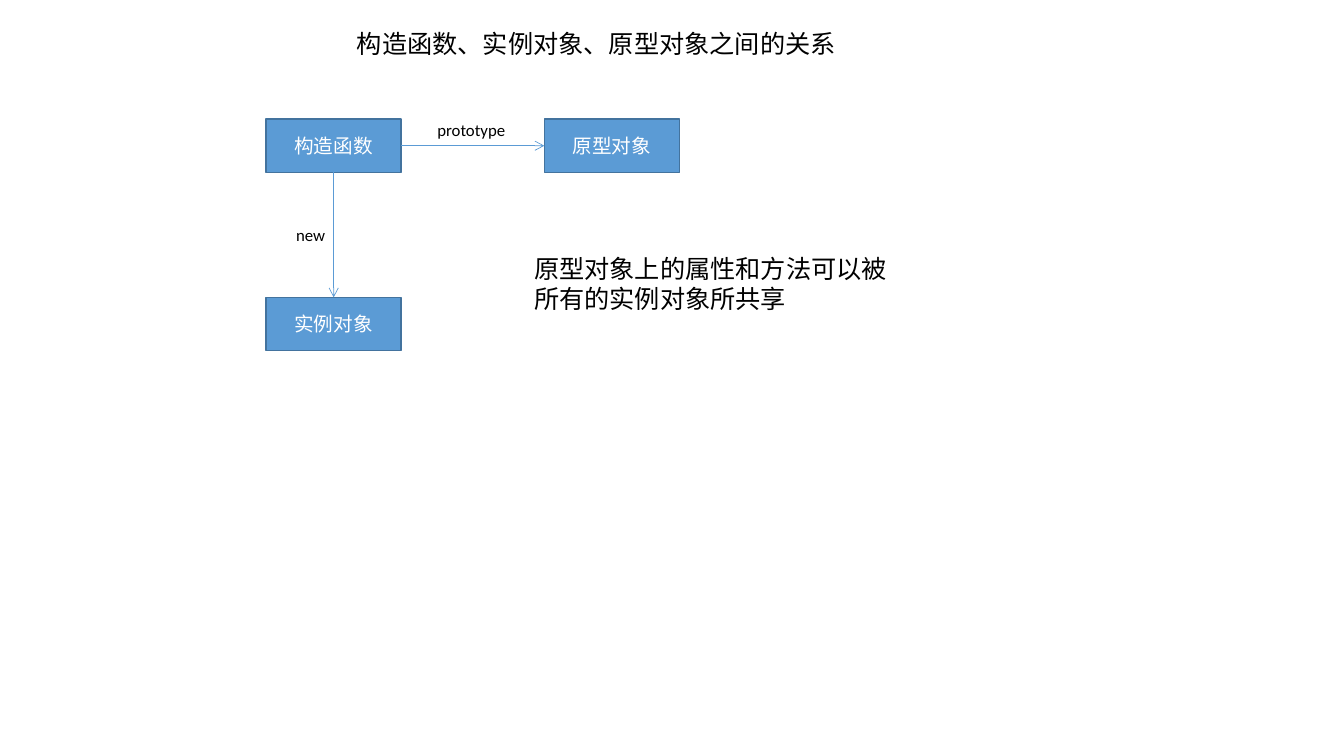
"""Build a slide on how constructors, instances and prototypes relate."""
from lxml import etree
from pptx import Presentation
from pptx import util as u
from pptx.dml.color import RGBColor
from pptx.enum import shapes, text
from pptx.oxml.ns import qn

COLORS = {"box": "5B9BD5", "border": "43739E", "text": "000000", "box_text": "FFFFFF"}
BOX_W, BOX_H = 96.5, 38.2
LEFT, RIGHT, TOP, BOTTOM = 190.1, 388.8, 85, 212.4


def write(sp, words, size, color, align, anchor):
    tf = sp.text_frame
    tf.text = words
    tf.word_wrap = True
    tf.auto_size = text.MSO_AUTO_SIZE.NONE
    tf.vertical_anchor = anchor
    p = tf.paragraphs[0]
    p.alignment = align
    font = p.runs[0].font
    font.name, font.size = "Calibri", u.Pt(size)
    font.color.rgb = RGBColor.from_string(COLORS[color])


prs = Presentation()
prs.slide_width, prs.slide_height = u.Pt(960), u.Pt(540)
s = prs.slides.add_slide(prs.slide_layouts[5])

title = s.shapes.title
title.left, title.top, title.width, title.height = map(u.Pt, (247.7, 16.6, 378.7, 29))
write(title, "构造函数、实例对象、原型对象之间的关系", 18, "text",
      text.PP_ALIGN.LEFT, text.MSO_ANCHOR.TOP)

boxes = {}
for name, x, y in [("构造函数", LEFT, TOP), ("实例对象", LEFT, BOTTOM), ("原型对象", RIGHT, TOP)]:
    sp = s.shapes.add_shape(shapes.MSO_SHAPE.RECTANGLE, *map(u.Pt, (x, y, BOX_W, BOX_H)))
    sp.shadow.inherit = False
    sp.fill.solid()
    sp.fill.fore_color.rgb = RGBColor.from_string(COLORS["box"])
    sp.line.color.rgb = RGBColor.from_string(COLORS["border"])
    sp.line.width = u.Pt(1)
    write(sp, name, 14, "box_text", text.PP_ALIGN.CENTER, text.MSO_ANCHOR.MIDDLE)
    boxes[name] = sp

for target, start_site, end_site in [("实例对象", 2, 0), ("原型对象", 3, 1)]:
    arrow = s.shapes.add_connector(shapes.MSO_CONNECTOR.STRAIGHT, 0, 0, 0, 0)
    arrow.begin_connect(boxes["构造函数"], start_site)
    arrow.end_connect(boxes[target], end_site)
    arrow.line.color.rgb = RGBColor.from_string(COLORS["box"])
    arrow.line.width = u.Pt(0.5)
    etree.SubElement(arrow.line._get_or_add_ln(), qn("a:tailEnd"), type="arrow")
    etree.SubElement(arrow._element.spPr, qn("a:effectLst"))

for words, size, *area in [
    ("new", 12, 204.5, 157, 38.2, 21.6),
    ("prototype", 12, 305.3, 82.1, 64.8, 21.6),
    ("原型对象上的属性和方法可以被所有的实例对象所共享", 18, 374.4, 177.1, 275.8, 51),
]:
    sp = s.shapes.add_textbox(*map(u.Pt, area))
    write(sp, words, size, "text", text.PP_ALIGN.LEFT, text.MSO_ANCHOR.TOP)

prs.save("out.pptx")
